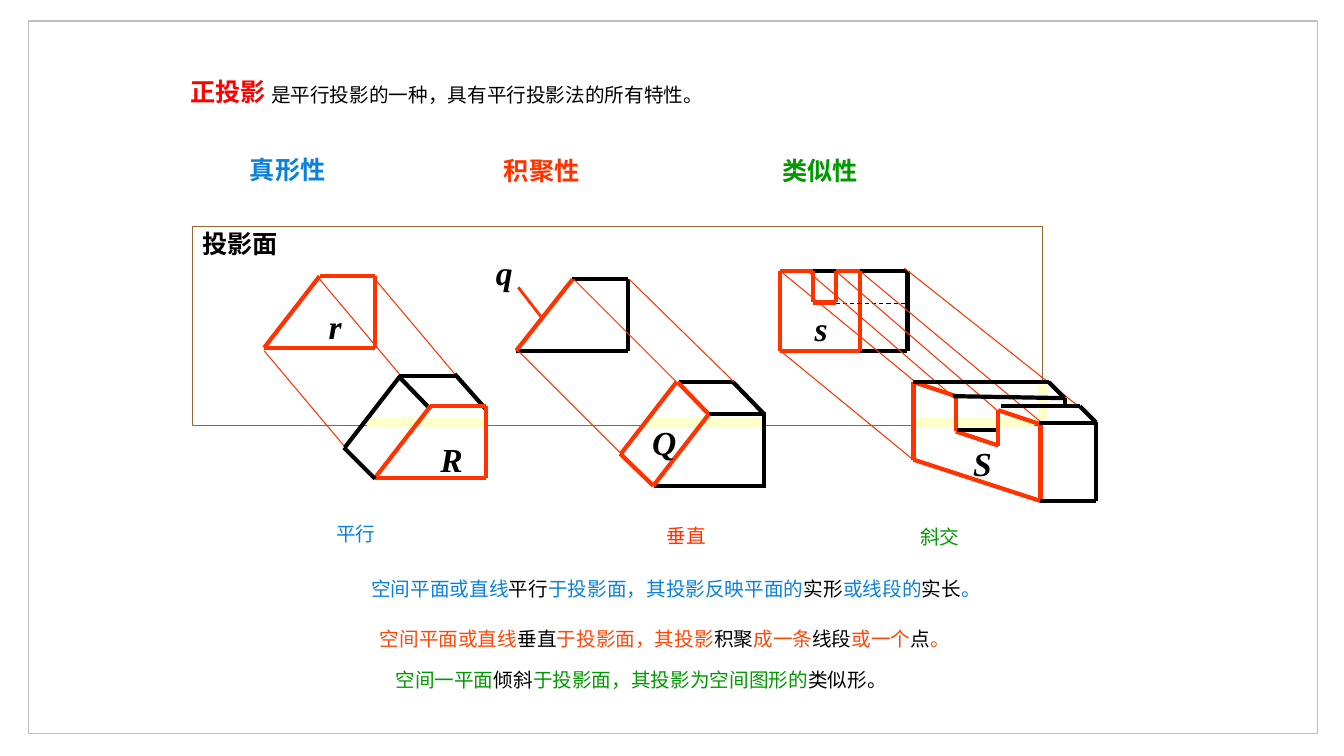
"""Slide on the three properties of orthographic projection, laid out on a grid of 1333 columns by 750 rows."""
from itertools import pairwise

from lxml import etree
from pptx import Presentation
from pptx import util as u
from pptx.dml.color import RGBColor
from pptx.enum import dml, shapes, text
from pptx.oxml.ns import qn

COLUMNS, ROWS = 1333, 750
CELL = u.Inches(0.01)
INK = {
    "black": "000000", "red": "FF0000", "orange": "FF3300", "ember": "FD4809",
    "blue": "0A81DA", "green": "009900", "brown": "996633", "grey": "BFBFBF",
    "cream": "FFFFCC",
}
SANS, SERIF = "Noto Sans CJK SC", "Times New Roman"
HEADING = {"name": SANS, "size": u.Pt(18), "bold": True}
BODY = {"name": SANS, "size": u.Pt(14), "bold": False}
LETTER = {"name": SERIF, "size": u.Pt(24), "bold": True, "italic": True}
LEFT, CENTER = text.PP_ALIGN.LEFT, text.PP_ALIGN.CENTER
THICK, THIN, HAIR, BAND = 3, 0.75, 0, 6

BANDS = [
    [(908, 419), (1026, 419)],
    [(1034, 419), (1034, 379)],
    [(364, 419), (483, 419)],
    [(640, 419), (758, 419)],
]
TRUE_SHAPE = [
    ("black", [(396, 373), (451, 373)]),
    ("black", [(451, 371), (482, 406)]),
    ("black", [(396, 374), (427, 406)]),
    ("orange", [(427, 403), (482, 403), (482, 474), (372, 474), (427, 403)]),
    ("black", [(342, 444), (397, 373)]),
    ("black", [(341, 444), (372, 475)]),
    ("orange", [(317, 274), (372, 274), (372, 345), (262, 345), (317, 274)]),
]
ACCUMULATION = [
    ("black", [(567, 277), (623, 277), (623, 348), (512, 348)]),
    ("orange", [(512, 348), (568, 277)]),
    ("black", [(673, 379), (728, 379)]),
    ("black", [(727, 379), (758, 411)]),
    ("orange", [(672, 379), (703, 411)]),
    ("black", [(703, 411), (758, 411)]),
    ("black", [(758, 409), (758, 482)]),
    ("black", [(760, 482), (649, 482)]),
    ("orange", [(648, 482), (703, 411)]),
    ("orange", [(616, 450), (671, 379)]),
    ("orange", [(615, 450), (648, 482)]),
]
SIMILAR_VIEW = [
    ("black", [(853, 269), (900, 269), (900, 348), (853, 348)]),
    ("black", [(806, 269), (829, 269)]),
    ("orange", [(853, 348), (774, 348), (774, 269), (806, 269), (806, 300),
                (829, 300), (829, 269), (853, 269), (853, 348)]),
]
SIMILAR_SOLID = [
    ("orange", [(906, 456), (1032, 497)]),
    ("black", [(1056, 395), (1056, 403)]),
    ("black", [(993, 403), (1071, 403), (1087, 419)]),
    ("orange", [(906, 456), (906, 379), (948, 393), (948, 428), (990, 442),
                (990, 407), (1032, 421), (1032, 497)]),
    ("black", [(1032, 497), (1087, 497), (1087, 419)]),
    ("black", [(1031, 420), (1086, 420)]),
    ("black", [(906, 379), (1040, 379), (1056, 395)]),
    ("black", [(945, 393), (1056, 395)]),
    ("black", [(949, 427), (988, 427)]),
]
RAYS = [
    [(616, 450), (514, 348)], [(671, 379), (569, 277)], [(728, 379), (624, 277)],
    [(341, 442), (262, 348)], [(396, 371), (317, 277)], [(451, 371), (372, 277)],
]
SIMILAR_RAYS = [
    [(774, 348), (908, 458)], [(774, 269), (908, 379)], [(801, 269), (947, 395)],
    [(829, 269), (990, 408)], [(853, 269), (1034, 420)], [(897, 266), (1086, 416)],
]
HEADINGS = [
    ("投影面", "black", (183, 222, 110, 40), CENTER),
    ("真形性", "blue", (238, 148, 157, 40), LEFT),
    ("积聚性", "orange", (490, 149, 142, 40), LEFT),
    ("类似性", "green", (766, 149, 142, 40), LEFT),
    ("正投影", "red", (179, 71, 186, 40), LEFT),
]
LETTERS = [
    ("R", (427, 431, 31, 50)), ("r", (309, 299, 47, 50)), ("Q", (637, 414, 39, 50)),
    ("q", (482, 245, 32, 50)), ("S", (955, 434, 39, 50)), ("s", (798, 301, 31, 50)),
]
CAPTIONS = [
    ("平行", "blue", (231, 513, 244, 34)),
    ("垂直", "orange", (602, 515, 157, 34)),
    ("斜交", "green", (861, 516, 142, 34)),
]
STATEMENTS = [
    ("blue", (139, 567, 1063, 34),
     ["空间平面或直线", "平行", "于投影面，其投影反映平面的", "实形", "或线段的", "实长", "。"]),
    ("ember", (158, 617, 1003, 34),
     ["空间平面或直线", "垂直", "于投影面，其投影", "积聚", "成一条", "线段", "或一个", "点", "。"]),
    ("green", (191, 658, 890, 34),
     ["空间一平面", "倾斜", "于投影面，其投影为空间图形的", "类似形。"]),
]


def cells(numbers):
    return [round(number * CELL) for number in numbers]


def color(ink):
    return RGBColor.from_string(INK[ink])


def add_chain(slide, points, ink, weight, dash=None):
    for start, end in pairwise(points):
        edge = slide.shapes.add_connector(
            shapes.MSO_CONNECTOR.STRAIGHT, *cells(start + end))
        edge.line.color.rgb = color(ink)
        for name, value in {"width": u.Pt(weight), "dash_style": dash}.items():
            setattr(edge.line, name, value)
        etree.SubElement(edge._element.spPr, qn("a:effectLst"))


def add_outline(slide, area, ink, weight):
    outline = slide.shapes.add_shape(shapes.MSO_SHAPE.RECTANGLE, *cells(area))
    outline.shadow.inherit = False
    outline.fill.background()
    outline.line.color.rgb = color(ink)
    outline.line.width = u.Pt(weight)


def add_words(slide, area, phrases, looks, align=CENTER):
    frame = slide.shapes.add_textbox(*cells(area)).text_frame
    frame.word_wrap = True
    line = frame.paragraphs[0]
    line.alignment = align
    for words, ink in phrases:
        phrase = line.add_run()
        phrase.text = words
        phrase.font.color.rgb = color(ink)
        for name, value in looks.items():
            setattr(phrase.font, name, value)
        etree.SubElement(phrase._r.rPr, qn("a:ea"), typeface=looks["name"])


def add_drawing(slide):
    for band in BANDS:
        add_chain(slide, band, "cream", BAND)
    for ink, points in TRUE_SHAPE + ACCUMULATION:
        add_chain(slide, points, ink, THICK)
    for ray in RAYS:
        add_chain(slide, ray, "orange", THIN)
    for ink, points in SIMILAR_VIEW:
        add_chain(slide, points, ink, THICK)
    add_chain(slide, [(829, 301), (900, 301)], "black", THIN, dml.MSO_LINE.DASH)
    for ray in SIMILAR_RAYS:
        add_chain(slide, ray, "orange", THIN)
    for ink, points in SIMILAR_SOLID:
        add_chain(slide, points, ink, THICK)
    add_chain(slide, [(514, 285), (538, 316)], "orange", HAIR)


def add_wording(slide):
    add_words(slide, (259, 77, 760, 34),
              [("是平行投影的一种，具有平行投影法的所有特性。", "black")], BODY, LEFT)
    for words, ink, area, align in HEADINGS:
        add_words(slide, area, [(words, ink)], HEADING, align)
    for letter, area in LETTERS:
        add_words(slide, area, [(letter, "black")], LETTER)
    for words, ink, area in CAPTIONS:
        add_words(slide, area, [(words, ink)], BODY)
    for ink, area, parts in STATEMENTS:
        phrases = [(part, "black" if i % 2 else ink) for i, part in enumerate(parts)]
        add_words(slide, area, phrases, BODY)


def main():
    deck = Presentation()
    deck.slide_width, deck.slide_height = cells((COLUMNS, ROWS))
    slide = deck.slides.add_slide(deck.slide_layouts[6])
    add_outline(slide, (28, 21, 1279, 707), "grey", 1)
    add_outline(slide, (191, 225, 843, 197), "brown", THIN)
    add_drawing(slide)
    add_wording(slide)
    deck.save("out.pptx")


if __name__ == "__main__":
    main()
